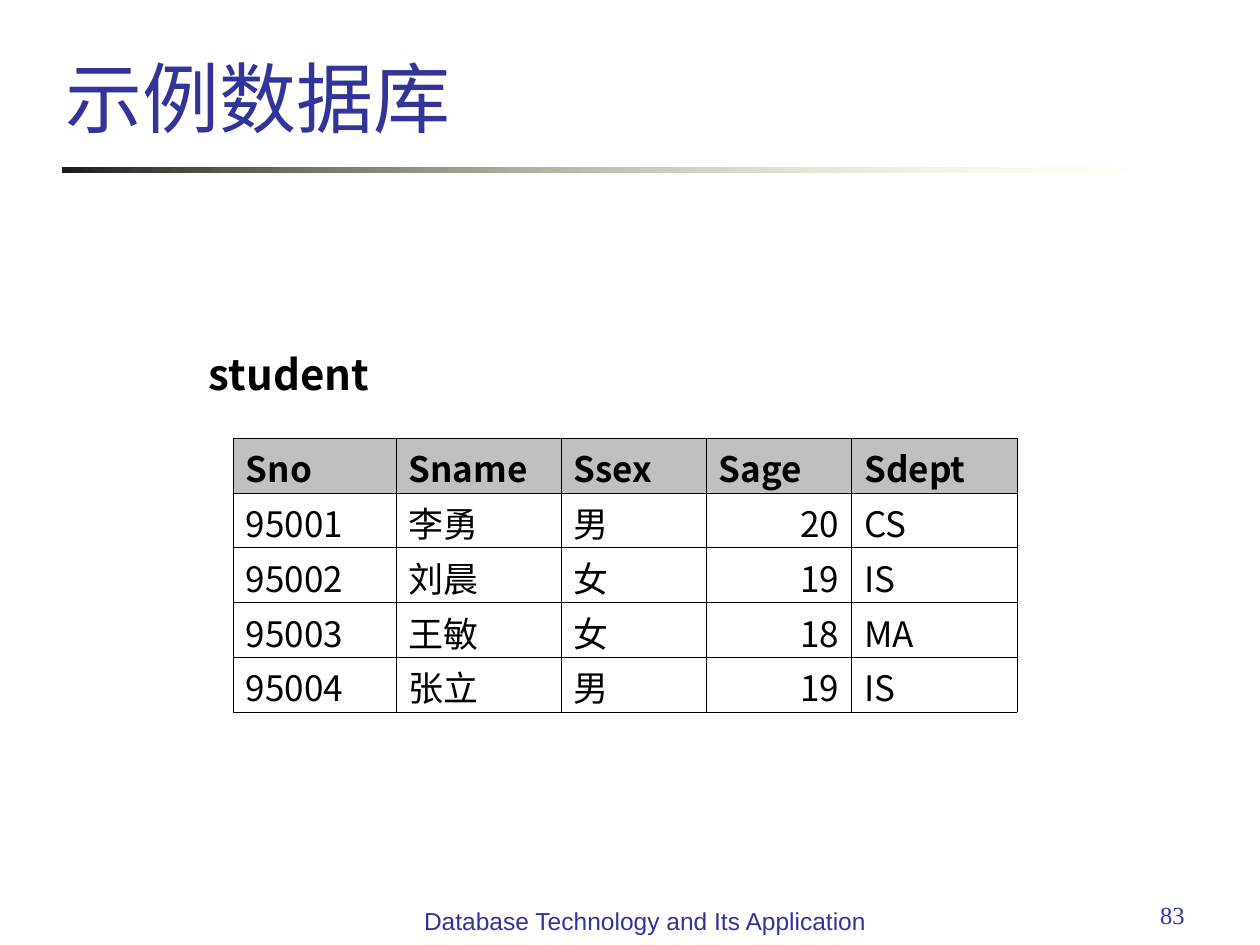
from lxml.etree import SubElement
from pptx import Presentation
from pptx.dml.color import RGBColor
from pptx.enum.shapes import MSO_SHAPE as Shape
from pptx.enum.text import MSO_ANCHOR as Anchor, PP_ALIGN as Align
from pptx.oxml.ns import qn
from pptx.util import Pt

INDIGO = RGBColor(0x33, 0x33, 0x99)
BLACK = RGBColor(0, 0, 0)
WHITE = RGBColor(0xFF, 0xFF, 0xFF)
SILVER = RGBColor(0xC0, 0xC0, 0xC0)
CHARCOAL = RGBColor(0x1C, 0x1C, 0x1C)
CREAM = RGBColor(0xFF, 0xFF, 0xB7)

CJK = "Noto Sans CJK SC"
SANS = "Arial"
SERIF = "Times New Roman"

HEADINGS = ["Sno", "Sname", "Ssex", "Sage", "Sdept"]
STUDENTS = [
    ["95001", "李勇", "男", "20", "CS"],
    ["95002", "刘晨", "女", "19", "IS"],
    ["95003", "王敏", "女", "18", "MA"],
    ["95004", "张立", "男", "19", "IS"],
]
COLUMN_WIDTHS = [93, 94.5, 83, 83, 94.5]
AGE_COLUMN = HEADINGS.index("Sage")


class SlideBuilder:
    """Holds the current slide and its text and table style."""

    row_height = 31.3
    border_width = 0.34

    def __init__(self, slide):
        self.slide = slide

    def set_text(self, frame, words, size, font, color, bold=False, align=Align.LEFT):
        frame.text = words
        paragraph = frame.paragraphs[0]
        paragraph.alignment = align
        style = paragraph.font
        style.size, style.name, style.bold = Pt(size), font, bold
        style.color.rgb = color
        defaults = paragraph._p.pPr.find(qn("a:defRPr"))
        SubElement(defaults, qn("a:ea"), typeface=CJK)

    def title(self, words, left, top, width, height):
        title = self.slide.shapes.title
        title.left, title.top = Pt(left), Pt(top)
        title.width, title.height = Pt(width), Pt(height)
        title.text_frame.vertical_anchor = Anchor.BOTTOM
        self.set_text(title.text_frame, words, 44, SANS, INDIGO)

    def fading_rule(self, left, top, width, height):
        rule = self.slide.shapes.add_shape(
            Shape.RECTANGLE, Pt(left), Pt(top), Pt(width), Pt(height))
        rule.shadow.inherit = False
        rule.line.fill.background()
        rule.fill.gradient()
        rule.fill.gradient_angle = 0
        for stop, color in zip(rule.fill.gradient_stops, (CHARCOAL, CREAM)):
            stop.color.rgb = color
        # The last stop is fully transparent
        last_color = rule._element.spPr.findall(".//" + qn("a:srgbClr"))[-1]
        SubElement(last_color, qn("a:alpha"), val="0")

    def text(self, words, left, top, width, height, size, font, color,
             bold=False, align=Align.LEFT, anchor=Anchor.TOP, fill=None):
        box = self.slide.shapes.add_textbox(
            Pt(left), Pt(top), Pt(width), Pt(height))
        if fill is not None:
            box.fill.solid()
            box.fill.fore_color.rgb = fill
        box.text_frame.word_wrap = True
        box.text_frame.vertical_anchor = anchor
        self.set_text(box.text_frame, words, size, font, color, bold, align)

    def border(self, cell):
        properties = cell._tc.get_or_add_tcPr()
        for side in ("lnL", "lnR", "lnT", "lnB"):
            line = SubElement(properties, qn(f"a:{side}"),
                              w=str(int(Pt(self.border_width))))
            fill = SubElement(line, qn("a:solidFill"))
            SubElement(fill, qn("a:srgbClr"), val=str(BLACK))

    def table(self, rows, widths, left, top):
        table = self.slide.shapes.add_table(
            len(rows), len(widths), Pt(left), Pt(top),
            Pt(sum(widths)), Pt(self.row_height * len(rows))).table
        for column, width in zip(table.columns, widths):
            column.width = Pt(width)
        for r, values in enumerate(rows):
            table.rows[r].height = Pt(self.row_height)
            is_header = r == 0
            for c, value in enumerate(values):
                cell = table.cell(r, c)
                self.border(cell)
                cell.fill.solid()
                cell.fill.fore_color.rgb = SILVER if is_header else WHITE
                # Tight margins keep the tall font inside the row
                cell.margin_top, cell.margin_bottom = Pt(2.2), Pt(0)
                cell.vertical_anchor = Anchor.MIDDLE if is_header else Anchor.TOP
                is_age = c == AGE_COLUMN and not is_header
                self.set_text(cell.text_frame, value, 20, CJK, BLACK, is_header,
                              Align.RIGHT if is_age else Align.LEFT)


def main():
    deck = Presentation()
    deck.slide_width, deck.slide_height = Pt(720), Pt(540)
    builder = SlideBuilder(deck.slides.add_slide(deck.slide_layouts[5]))

    # Heading
    builder.fading_rule(36, 95.5, 648, 3.2)
    builder.title("示例数据库", 30.2, 0, 632.2, 85)

    # Student table
    builder.text("student", 112.3, 195.8, 114.5, 36, 24, CJK, BLACK,
                 bold=True, anchor=Anchor.MIDDLE, fill=WHITE)
    builder.table([HEADINGS] + STUDENTS, COLUMN_WIDTHS, 133.2, 250.4)

    # Footer
    builder.text("83", 516.2, 510.5, 167.8, 37.4, 14, SERIF, INDIGO,
                 align=Align.RIGHT)
    builder.text("Database Technology and Its Application",
                 229.7, 514.1, 277.9, 37.4, 14, SANS, INDIGO, align=Align.CENTER)

    deck.save("out.pptx")


if __name__ == "__main__":
    main()
